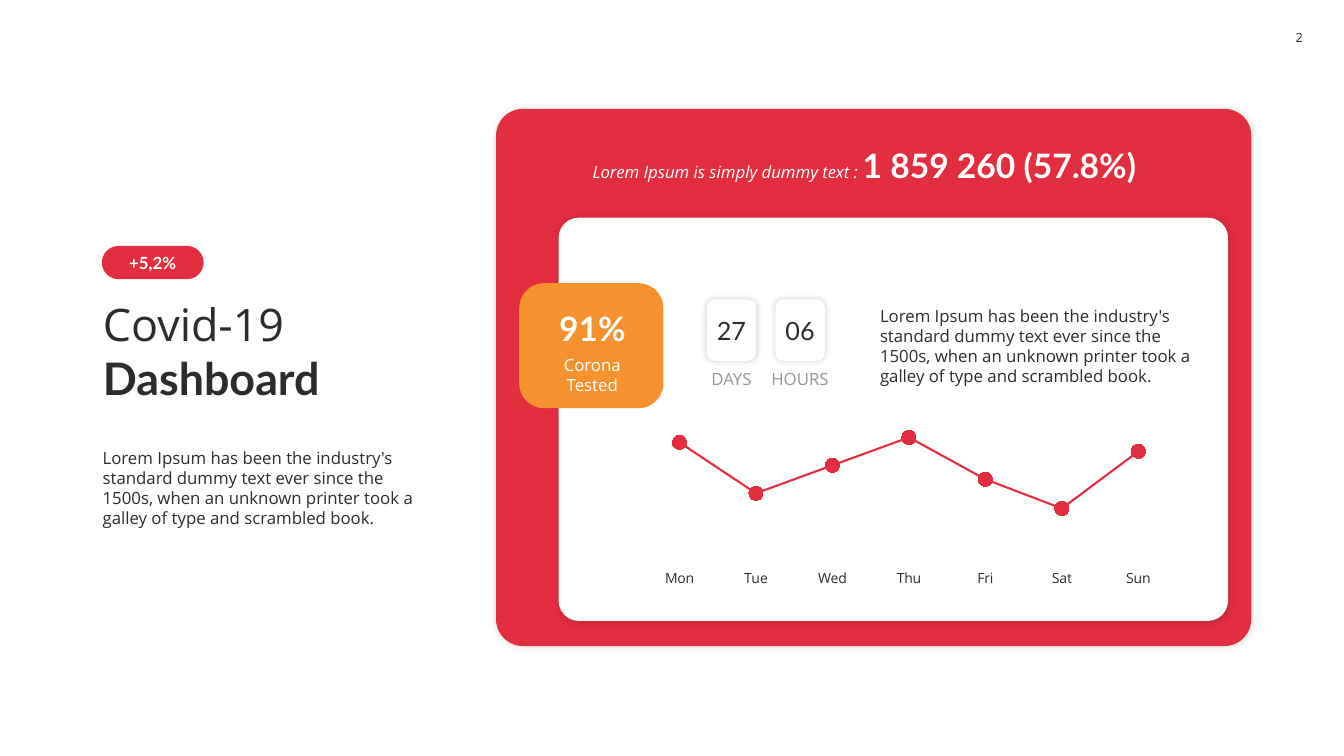
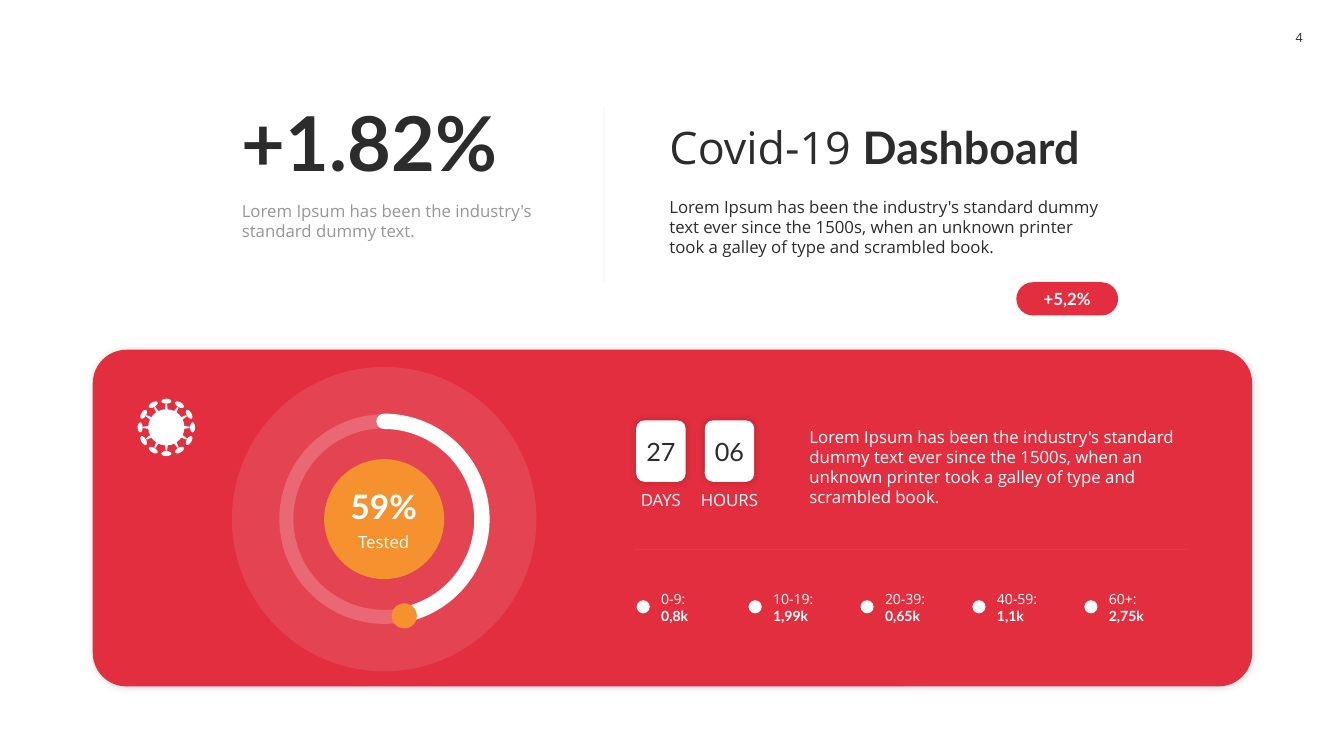
from collections import namedtuple
from math import cos, radians, sin

from lxml.etree import SubElement
from pptx import Presentation
from pptx.chart.data import CategoryChartData
from pptx.dml.color import RGBColor
from pptx.enum.chart import XL_CHART_TYPE, XL_MARKER_STYLE, XL_TICK_MARK
from pptx.enum.shapes import MSO_CONNECTOR, MSO_SHAPE
from pptx.enum.text import MSO_ANCHOR, MSO_AUTO_SIZE, PP_ALIGN
from pptx.oxml.ns import qn
from pptx.util import Inches, Pt

RED = RGBColor(0xE2, 0x2E, 0x3F)
ORANGE = RGBColor(0xF5, 0x92, 0x2F)
WHITE = RGBColor(0xFF, 0xFF, 0xFF)
BLACK = RGBColor(0, 0, 0)
INK = RGBColor(0x2C, 0x2C, 0x2C)
GRAY = RGBColor(0x96, 0x96, 0x96)

SANS, LATO = "Open Sans", "Lato"
LEFT, CENTER = PP_ALIGN.LEFT, PP_ALIGN.CENTER
TOP, MIDDLE, BOTTOM = MSO_ANCHOR.TOP, MSO_ANCHOR.MIDDLE, MSO_ANCHOR.BOTTOM
ROUND, OVAL = MSO_SHAPE.ROUNDED_RECTANGLE, MSO_SHAPE.OVAL

Face = namedtuple("Face", "name size color bold italic", defaults=(INK, False, False))
BODY = Face(SANS, 12)
MUTED = Face(SANS, 12, GRAY)
LIGHT = Face(SANS, 12, WHITE)
FIGURE = Face(LATO, 24, WHITE, True)
Cast = namedtuple("Cast", "alpha blur dist angle")
CARD = Cast(15, 6, 1, 45)
TILE = Cast(20, 5, 0, 45)

LOREM = ("Lorem Ipsum has been the industry's standard dummy text ever since the "
         "1500s, when an unknown printer took a galley of type and scrambled book.")


def dress(font, face):
    font.name, font.size = face.name, Pt(face.size)
    font.bold, font.italic = face.bold, face.italic
    font.color.rgb = face.color


def fade(shape, percent):
    color = shape._element.spPr.find(".//" + qn("a:srgbClr"))
    SubElement(color, qn("a:alpha"), val=str(percent * 1000))


def cast(shape, shade):
    effects = shape._element.spPr.find(qn("a:effectLst"))
    outer = SubElement(effects, qn("a:outerShdw"), blurRad=str(Pt(shade.blur)),
                       dist=str(Pt(shade.dist)), dir=str(shade.angle * 60000),
                       algn="ctr", rotWithShape="0")
    color = SubElement(outer, qn("a:srgbClr"), val=str(BLACK))
    SubElement(color, qn("a:alpha"), val=str(shade.alpha * 1000))


def write(frame, lines, align=LEFT, anchor=TOP, inset=(0.1, 0.05)):
    """Fill a frame with lines, each a list of (text, face) runs."""
    frame.word_wrap = True
    frame.auto_size = MSO_AUTO_SIZE.NONE
    frame.vertical_anchor = anchor
    frame.margin_left = frame.margin_right = Inches(inset[0])
    frame.margin_top = frame.margin_bottom = Inches(inset[1])
    for i, runs in enumerate(lines):
        para = frame.add_paragraph() if i else frame.paragraphs[0]
        para.alignment = align
        for text, face in runs:
            run = para.add_run()
            run.text = text
            dress(para.font if len(runs) == 1 else run.font, face)


class Deck:
    def __init__(self):
        self.file = Presentation()
        self.file.slide_width, self.file.slide_height = Inches(13.33), Inches(7.5)

    def page(self, number, *title):
        self.slide = self.file.slides.add_slide(self.file.slide_layouts[5])
        self.shapes = self.slide.shapes
        head = self.shapes.title
        head.left, head.top, head.width, head.height = map(Inches, title)
        write(head.text_frame, [[("Covid-19 ", Face(SANS, 32)),
                                 ("Dashboard", Face(LATO, 32, INK, True))]], anchor=BOTTOM)
        self.text((12.69, 0.18, 0.39, 0.39), number, Face(SANS, 9), CENTER, MIDDLE, (0, 0.05))

    def shape(self, kind, box, fill=None, adjust=(), shade=None):
        item = self.shapes.add_shape(kind, *map(Inches, box))
        item.shadow.inherit = False
        item.line.fill.background()
        if fill is None:
            item.fill.background()
        else:
            item.fill.solid()
            item.fill.fore_color.rgb = fill
        for i, value in enumerate(adjust):
            item.adjustments[i] = value
        if shade:
            cast(item, shade)
        return item

    def disc(self, x, y, size, fill=None):
        """Draw a circle centred on x, y."""
        return self.shape(OVAL, (x - size / 2, y - size / 2, size, size), fill)

    def stroke(self, item, width, color=WHITE):
        item.line.color.rgb = color
        item.line.width = Pt(width)

    def text(self, box, text, face=BODY, align=LEFT, anchor=TOP, inset=(0.1, 0.05)):
        self.rich(box, [[(text, face)]], align, anchor, inset)

    def rich(self, box, lines, *style):
        item = self.shapes.add_textbox(*map(Inches, box))
        write(item.text_frame, lines, *style)

    def rule(self, start, end, color):
        line = self.shapes.add_connector(MSO_CONNECTOR.STRAIGHT,
                                         *map(Inches, start + end))
        self.stroke(line, 0.5, color)
        fade(line, 10)
        SubElement(line._element.spPr, qn("a:effectLst"))

    def pill(self, x, y):
        item = self.shape(ROUND, (x, y, 1.01, 0.33), RED, [0.5])
        write(item.text_frame, [[("+5,2%", Face(LATO, 12, WHITE, True))]],
              CENTER, MIDDLE, (0, 0))

    def timer(self, x, y, face):
        for i, (value, unit) in enumerate([("27", "DAYS"), ("06", "HOURS")]):
            left = x + 0.68 * i
            item = self.shape(ROUND, (left, y, 0.49, 0.61), WHITE, shade=TILE)
            write(item.text_frame, [[(value, Face(LATO, 18))]], CENTER, MIDDLE, (0, 0.05))
            self.text((left - 0.09, y + 0.64, 0.67, 0.3), unit, face, CENTER,
                      inset=(0.04, 0.05))

    def virus(self, x, y):
        self.disc(x, y, 0.36, WHITE)
        parts = [(OVAL, 0.26, 0.1, 0.05, []),
                 (MSO_SHAPE.TRAPEZOID, 0.2, 0.03, 0.06, [0.27])]
        for angle in range(0, 360, 30):
            for kind, reach, wide, high, adjust in parts:
                left = x + reach * sin(radians(angle)) - wide / 2
                top = y - reach * cos(radians(angle)) - high / 2
                self.shape(kind, (left, top, wide, high), WHITE, adjust).rotation = angle

    def dial(self, x, y):
        fade(self.disc(x, y, 3.02, WHITE), 10)
        self.disc(x, y, 1.19, ORANGE)
        ring = self.disc(x, y, 1.94)
        self.stroke(ring, 10)
        fade(ring, 20)
        arc = self.shape(MSO_SHAPE.ARC, (x - 0.97, y - 0.97, 1.94, 1.94),
                         adjust=[162, 44.96])
        self.stroke(arc, 11)
        arc._element.spPr.find(qn("a:ln")).set("cap", "rnd")
        self.disc(x + 0.2, y + 0.96, 0.25, ORANGE)
        self.text((x - 0.6, y - 0.38, 1.19, 0.5), "59%", FIGURE, CENTER, BOTTOM)
        self.text((x - 0.6, y + 0.08, 1.19, 0.3), "Tested", LIGHT, CENTER)

    def chart(self, box, names, values):
        data = CategoryChartData()
        data.categories = names
        data.add_series("Series 1", values)
        chart = self.shapes.add_chart(XL_CHART_TYPE.LINE_MARKERS_STACKED,
                                      *map(Inches, box), data).chart
        chart.has_legend = chart.has_title = False
        dress(chart.font, BODY)
        days, scale = chart.category_axis, chart.value_axis
        days.major_tick_mark = XL_TICK_MARK.NONE
        days.format.line.fill.background()
        days.tick_labels.font.size = Pt(10)
        scale.visible = scale.has_major_gridlines = False
        scale.minimum_scale, scale.maximum_scale = 0, 110
        plot = chart.plots[0]
        plot.vary_by_categories = False
        line = plot.series[0]
        line.smooth = False
        line.format.line.color.rgb = RED
        line.format.line.width = Pt(1.5)
        mark = line.marker
        mark.style, mark.size = XL_MARKER_STYLE.CIRCLE, 10
        mark.format.fill.solid()
        mark.format.fill.fore_color.rgb = RED
        mark.format.line.color.rgb = RED


def trend(deck):
    deck.page("2", 0.92, 2.88, 3.36, 1.18)
    deck.text((0.92, 4.39, 3.36, 0.91), LOREM)
    deck.pill(1.01, 2.44)
    deck.shape(ROUND, (4.92, 1.08, 7.49, 5.33), RED, [0.05], CARD)
    deck.shape(ROUND, (5.54, 2.16, 6.64, 4), WHITE, [0.05], CARD)
    deck.rich((5.78, 1.39, 6, 0.5),
              [[("Lorem Ipsum is simply dummy text : ", LIGHT._replace(italic=True)),
                ("1 859 260 (57.8%)", FIGURE)]])
    deck.shape(ROUND, (5.15, 2.81, 1.43, 1.24), ORANGE, [0.2])
    deck.text((5.26, 3, 1.23, 0.5), "91%", FIGURE, CENTER, BOTTOM)
    deck.text((5.26, 3.47, 1.23, 0.5), "Corona Tested", LIGHT, CENTER)
    deck.timer(7.01, 2.97, MUTED)
    deck.text((8.63, 2.98, 3.36, 0.91), LOREM)
    deck.chart((6.25, 4.18, 5.53, 1.68),
               ["Mon", "Tue", "Wed", "Thu", "Fri", "Sat", "Sun"],
               [96, 56, 78, 100, 67, 44, 89])


def ages(deck):
    deck.page("4", 6.54, 1.13, 4.55, 0.64)
    deck.text((2.3, 0.89, 3.36, 1.01), "+1.82%", Face(LATO, 54, INK, True), anchor=BOTTOM)
    deck.text((2.3, 1.94, 3.36, 0.5),
              "Lorem Ipsum has been the industry's standard dummy text.", MUTED)
    deck.rule((5.99, 2.8), (5.99, 1.06), INK)
    deck.text((6.54, 1.9, 4.55, 0.71), LOREM)
    deck.pill(10.08, 2.8)
    deck.shape(ROUND, (0.92, 3.47, 11.5, 3.34), RED, [0.1], CARD)
    deck.virus(1.65, 4.24)
    deck.dial(3.81, 5.15)
    deck.timer(6.31, 4.17, LIGHT)
    deck.text((7.93, 4.18, 3.82, 0.91), LOREM, LIGHT)
    deck.rule((6.29, 5.45), (11.76, 5.45), WHITE)
    groups = [("0-9:", "0,8k"), ("10-19:", "1,99k"), ("20-39:", "0,65k"),
              ("40-59:", "1,1k"), ("60+:", "2,75k")]
    for i, (span, count) in enumerate(groups):
        x = 6.31 + 1.11 * i
        deck.disc(x + 0.07, 6.02, 0.13, WHITE)
        deck.rich((x + 0.15, 5.81, 0.8, 0.44),
                  [[(span, Face(SANS, 10, WHITE))], [(count, Face(LATO, 10, WHITE, True))]],
                  LEFT, MIDDLE)


def main():
    deck = Deck()
    trend(deck)
    ages(deck)
    deck.file.save("out.pptx")


if __name__ == "__main__":
    main()
